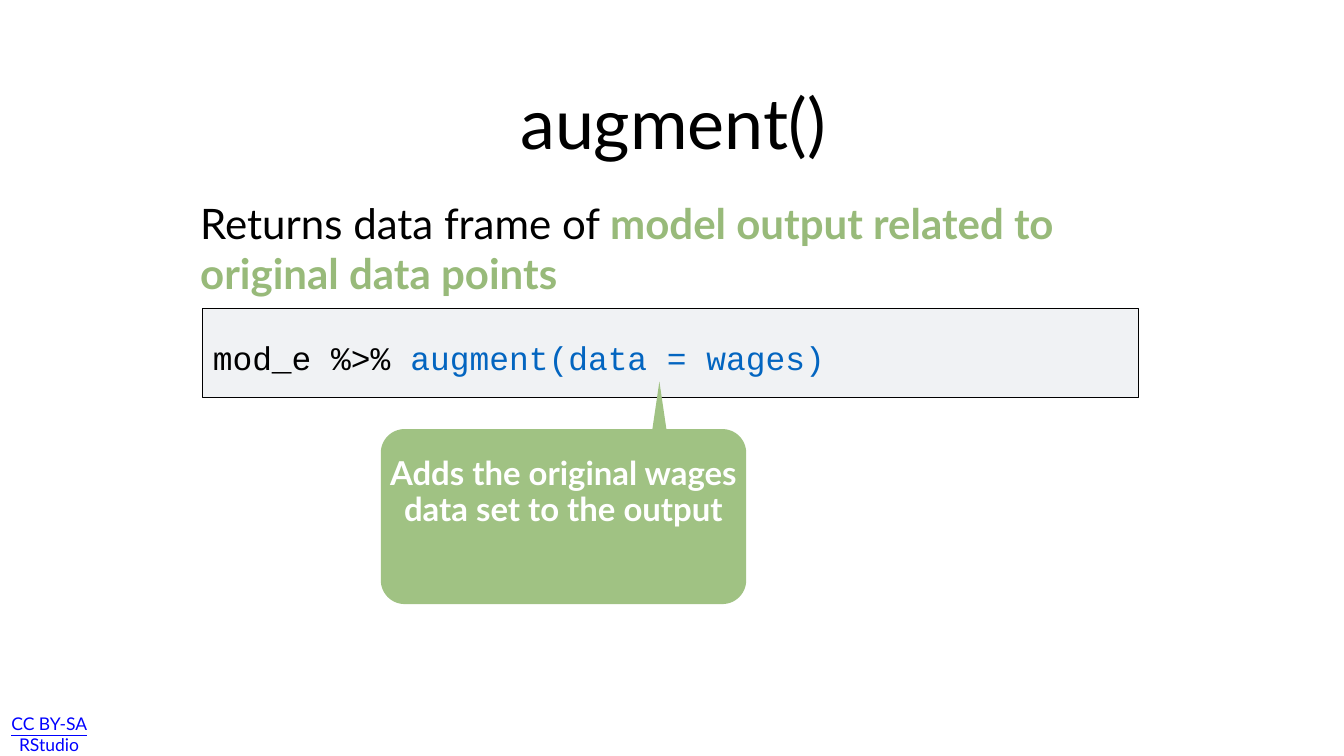
from math import cos, radians, sin

from lxml.etree import SubElement
from pptx import Presentation
from pptx.dml.color import RGBColor
from pptx.enum.shapes import MSO_SHAPE
from pptx.enum.text import MSO_ANCHOR as Anchor
from pptx.enum.text import MSO_AUTO_SIZE as AutoSize
from pptx.enum.text import PP_ALIGN as Align
from pptx.oxml.ns import qn
from pptx.util import Pt

PX = 12700  # EMU; the slide is 1920 x 1080 px
BLACK = RGBColor(0x00, 0x00, 0x00)
WHITE = RGBColor(0xFF, 0xFF, 0xFF)
LINK_BLUE = RGBColor(0x00, 0x00, 0xFF)
CODE_BLUE = RGBColor(0x03, 0x65, 0xC0)
CODE_GRAY = RGBColor(0xF0, 0xF2, 0xF4)
TEXT_GREEN = RGBColor(0x98, 0xBA, 0x7A)
CALLOUT_GREEN = RGBColor(0xA0, 0xC2, 0x83)


def px(*lengths):
    return [round(length * PX) for length in lengths]


def place(shape, left, top, width, height):
    shape.left, shape.top, shape.width, shape.height = px(left, top, width, height)


def write(shape, runs, size, font="Lato", align=Align.LEFT, anchor=Anchor.MIDDLE,
          margins=(4, 4, 4, 4)):
    """Fill the shape with one paragraph of (text, colour, bold) runs."""
    frame = shape.text_frame
    frame.auto_size = AutoSize.NONE
    frame.word_wrap = True
    frame.vertical_anchor = anchor
    (frame.margin_left, frame.margin_top,
     frame.margin_right, frame.margin_bottom) = px(*margins)
    paragraph = frame.paragraphs[0]
    paragraph.alignment = align
    paragraph.space_before = Pt(0)
    for text, color, bold in runs:
        run = paragraph.add_run()
        run.text = text
        run.font.name = font
        run.font.size = Pt(size)
        run.font.bold = bold
        run.font.color.rgb = color
    return paragraph


def remove_bullet(paragraph):
    properties = paragraph._p.get_or_add_pPr()
    properties.set("marL", "0")
    properties.set("indent", "0")
    SubElement(properties, qn("a:buNone"))


def add_textbox(slide, left, top, width, height):
    return slide.shapes.add_textbox(*px(left, top, width, height))


def add_code_panel(slide, left, top, width, height):
    panel = slide.shapes.add_shape(MSO_SHAPE.RECTANGLE, *px(left, top, width, height))
    panel.shadow.inherit = False
    panel.fill.solid()
    panel.fill.fore_color.rgb = CODE_GRAY
    panel.line.color.rgb = BLACK
    panel.line.width = Pt(1)


def corner(center_x, center_y, radius, start, steps=16):
    """Points of a quarter circle, counter-clockwise on the slide."""
    angles = [radians(start - 90 * step / steps) for step in range(steps + 1)]
    return [(center_x + radius * cos(angle), center_y + radius * sin(angle))
            for angle in angles]


def add_callout(slide, left, top, right, bottom, tip, radius=34, half_base=10):
    """Rounded box with a narrow pointer from its top edge to the tip."""
    tip_x, tip_y = tip
    near, far = left + radius, right - radius
    high, low = top + radius, bottom - radius
    points = [
        (tip_x - half_base, top),
        *corner(near, high, radius, 270),
        *corner(near, low, radius, 180),
        *corner(far, low, radius, 90),
        *corner(far, high, radius, 0),
        (tip_x + half_base, top),
    ]
    builder = slide.shapes.build_freeform(*px(tip_x, tip_y))
    builder.add_line_segments([px(*point) for point in points], close=True)
    callout = builder.convert_to_shape()
    callout.shadow.inherit = False
    callout.fill.solid()
    callout.fill.fore_color.rgb = CALLOUT_GREEN
    callout.line.fill.background()
    return callout


def main():
    presentation = Presentation()
    presentation.slide_width, presentation.slide_height = px(1920, 1080)
    slide = presentation.slides.add_slide(presentation.slide_layouts[1])
    title, body = slide.placeholders

    place(title, 317, 79, 1289, 189)
    write(title, [("augment()", BLACK, False)], 100, align=Align.CENTER)

    place(body, 282, 264, 1357, 180)
    summary = write(body, [
        ("Returns data frame of ", BLACK, False),
        ("model output related to original data points", TEXT_GREEN, True),
    ], 60)
    remove_bullet(summary)

    add_code_panel(slide, 289, 441, 1337, 127)
    code = add_textbox(slide, 300, 469, 1243, 83)
    write(code, [
        ("mod_e %>% ", BLACK, False),
        ("augment(data = wages)", CODE_BLUE, False),
    ], 47, font="Courier New", anchor=Anchor.TOP, margins=(4, 13, 4, 4))

    callout = add_callout(slide, 544, 613, 1066, 863, tip=(942, 545))
    note = write(callout, [
        ("Adds the original wages data set to the output", WHITE, True),
    ], 47, align=Align.CENTER, margins=(6, 6, 6, 6))
    note.line_spacing = 0.9

    license_box = add_textbox(slide, 9, 1027, 192, 43)
    license_line = write(license_box, [("CC BY-SA RStudio", LINK_BLUE, False)], 25,
                         align=Align.CENTER, margins=(6, 6, 76, 6))
    license_line.runs[0].font.underline = True

    presentation.save("out.pptx")


if __name__ == "__main__":
    main()
